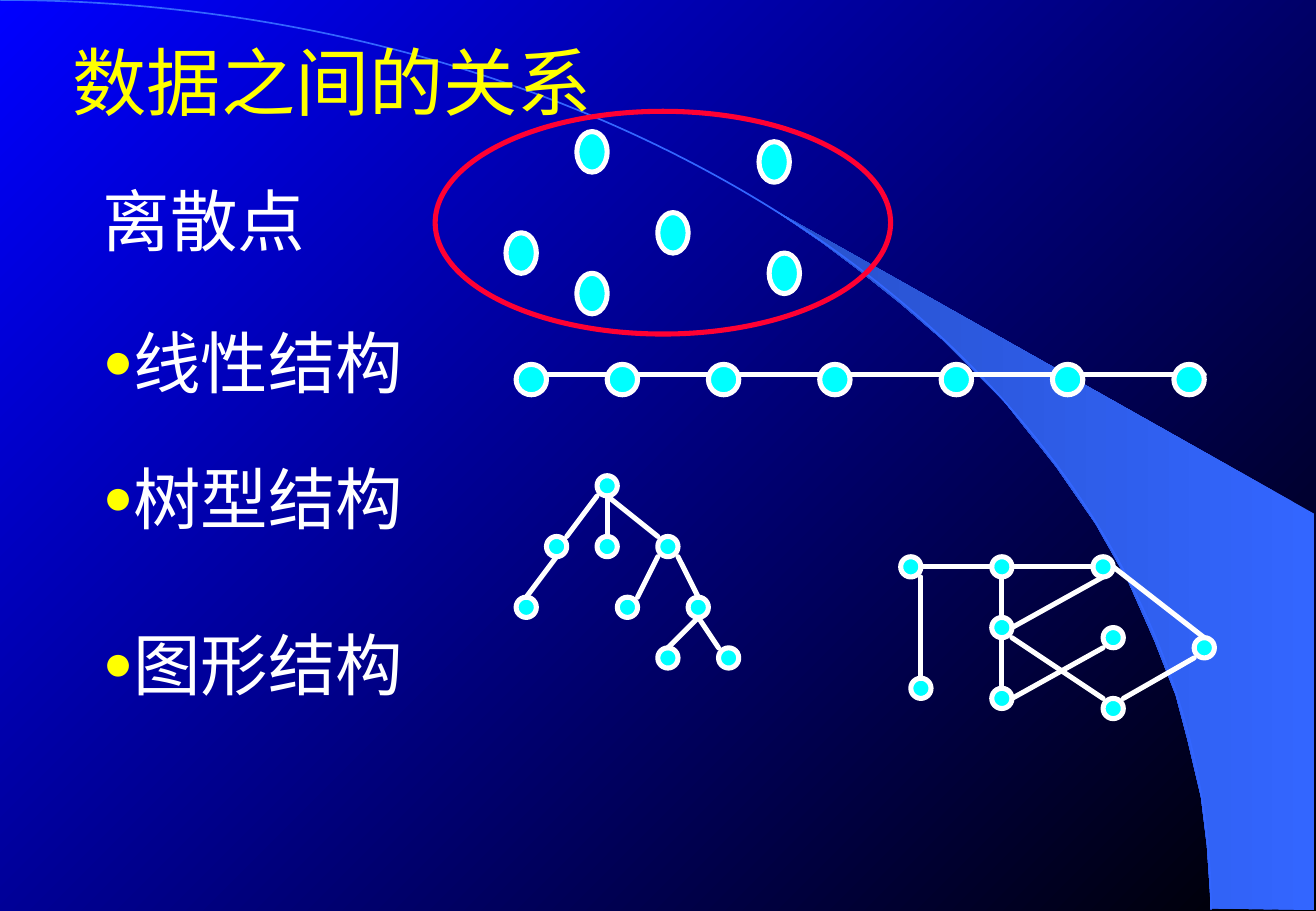
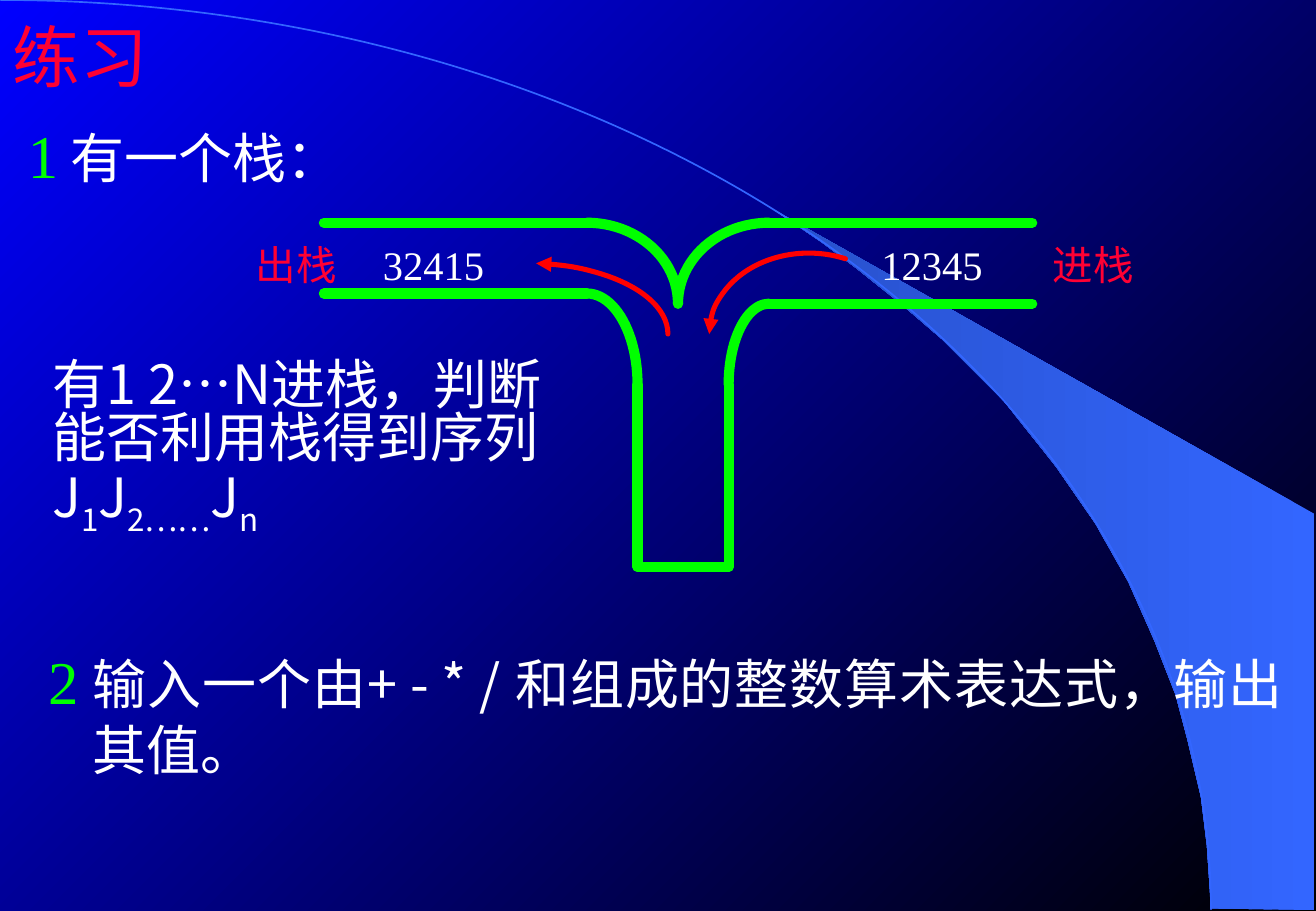
from pptx import Presentation
from pptx.dml.color import RGBColor
from pptx.enum.shapes import MSO_CONNECTOR, MSO_SHAPE as SHAPE
from pptx.enum.text import PP_ALIGN as ALIGN
from pptx.oxml.ns import qn
from pptx.oxml.xmlchemy import OxmlElement
from pptx.util import Pt

WHITE = RGBColor(0xFF, 0xFF, 0xFF)
BLACK = RGBColor(0x00, 0x00, 0x00)
BLUE = RGBColor(0x00, 0x00, 0xFF)
YELLOW = RGBColor(0xFF, 0xFF, 0x00)
CRIMSON = RGBColor(0xFF, 0x00, 0x33)
RED = RGBColor(0xFF, 0x00, 0x00)
GREEN = RGBColor(0x00, 0xFF, 0x00)
CYAN = RGBColor(0x00, 0xFF, 0xFF)
SWOOSH = RGBColor(0x33, 0x66, 0xFF)
SWOOSH_DARK = RGBColor(0x28, 0x51, 0xCB)

SANS = "Noto Sans CJK SC"
SERIF = "Times New Roman"

SWOOSH_POINTS = [
    (718, 538.5), (779, 539.5), (779, 304.5), (459, 124.5), (487, 143.5),
    (509, 160), (534, 180), (559, 201.5), (595, 237.5), (626, 276.5),
    (649.5, 310.5), (669, 345), (684.5, 380), (697, 412), (704, 438.5),
    (712, 472.5), (715.5, 501),
]

# Angles of an arc in degrees, clockwise from the right
TOP_RIGHT = (270, 0)
TOP_LEFT = (180, 270)

# Places on a node's frame, as shares of its size
SIDES = {
    "n": (0.5, 0), "s": (0.5, 1), "w": (0, 0.5), "e": (1, 0.5),
    "nw": (0, 0), "ne": (1, 0), "sw": (0, 1), "se": (1, 1),
}
NODE = 12

TREE_NODES = {
    "root": (354, 282), "left": (324, 318), "middle": (354, 318),
    "right": (390, 318), "left leaf": (306, 354), "right leaf": (366, 354),
    "branch": (408, 354), "branch left": (390, 384),
    "branch right": (426, 384),
}
TREE_EDGES = [
    ("root", "sw", "left", "ne"), ("root", "s", "middle", "n"),
    ("root", "s", "right", "nw"), ("right", "sw", "right leaf", "ne"),
    ("right", "se", "branch", "n"), ("left", "s", "left leaf", "n"),
    ("branch", "s", "branch left", "n"),
    ("branch", "s", "branch right", "nw"),
]
GRAPH_NODES = {
    "A": (534, 330), "B": (588, 330), "C": (648, 330),
    "D": (588, 366), "E": (588, 408), "F": (654, 372),
    "G": (540, 402), "H": (654, 414), "I": (708, 378),
}
GRAPH_EDGES = [
    ("B", "w", "A", "e"), ("B", "s", "D", "n"), ("B", "e", "C", "w"),
    ("D", "s", "E", "n"), ("C", "s", "D", "e"), ("A", "se", "G", "n"),
    ("F", "sw", "E", "e"), ("H", "ne", "I", "sw"), ("C", "e", "I", "n"),
    ("D", "se", "H", "nw"),
]


def add_child(parent, tag, **attributes):
    child = OxmlElement(tag)
    for name, value in attributes.items():
        child.set(name, value)
    parent.append(child)
    return child


def set_gradient(fill, start, end, angle):
    fill.gradient()
    fill.gradient_angle = angle
    for stop, color in zip(fill.gradient_stops, (start, end)):
        stop.color.rgb = color


def set_line(shape, color, width):
    shape.line.width = Pt(width)
    shape.line.color.rgb = color
    outline = shape._element.spPr.find(qn("a:ln"))
    outline.set("cap", "rnd")
    return outline


# Drawing elements
def add_ellipse(slide, left, top, width, height, color=None, outline=WHITE):
    shape = slide.shapes.add_shape(
        SHAPE.OVAL, Pt(left), Pt(top), Pt(width), Pt(height))
    shape.shadow.inherit = False
    if color is None:
        shape.fill.background()
    else:
        shape.fill.solid()
        shape.fill.fore_color.rgb = color
    set_line(shape, outline, 3)


def add_line(slide, start, end, color=WHITE, width=3):
    line = slide.shapes.add_connector(
        MSO_CONNECTOR.STRAIGHT, *(Pt(value) for value in (*start, *end)))
    set_line(line, color, width)
    add_child(line._element.spPr, "a:effectLst")


def add_arc(slide, frame, angles, color, width, arrow=False):
    arc = slide.shapes.add_shape(SHAPE.ARC, *(Pt(value) for value in frame))
    arc.shadow.inherit = False
    arc.fill.background()
    for index, angle in enumerate(angles):
        arc.adjustments[index] = angle * 0.6
    outline = set_line(arc, color, width)
    if arrow:
        add_child(outline, "a:headEnd", type="triangle")


def add_network(slide, nodes, edges):
    for left, top in nodes.values():
        add_ellipse(slide, left, top, NODE, NODE, CYAN)

    def place(name, side):
        return [corner + NODE * share
                for corner, share in zip(nodes[name], SIDES[side])]

    for first, first_side, second, second_side in edges:
        add_line(slide, place(first, first_side), place(second, second_side))


# Text elements
def add_box(slide, left, top, width, height):
    box = slide.shapes.add_textbox(Pt(left), Pt(top), Pt(width), Pt(height))
    box.text_frame.word_wrap = True
    return box.text_frame


def add_run(paragraph, text, size, color, name=SANS):
    run = paragraph.add_run()
    run.text = text
    run.font.size = Pt(size)
    run.font.color.rgb = color
    run.font.name = name
    add_child(run.font._element, "a:ea", typeface=SANS)
    return run


def set_spacing(paragraph, size):
    paragraph.line_spacing = Pt(size * 1.2)


def add_text(slide, frame, text, size, color, name=SANS):
    paragraph = add_box(slide, *frame).paragraphs[0]
    set_spacing(paragraph, size)
    add_run(paragraph, text, size, color, name)
    return paragraph


def set_indent(paragraph, margin, hanging):
    properties = paragraph._p.get_or_add_pPr()
    properties.set("marL", str(Pt(margin)))
    properties.set("indent", str(-Pt(hanging)))
    return properties


def add_bullet(paragraph):
    properties = set_indent(paragraph, 18, 18)
    color = add_child(properties, "a:buClr")
    add_child(color, "a:srgbClr", val=str(YELLOW))
    add_child(properties, "a:buSzPct", val="75000")
    add_child(properties, "a:buFont", typeface=SERIF)
    add_child(properties, "a:buChar", char="●")


def add_exercise(slide, frame, number, text):
    paragraph = add_box(slide, *frame).paragraphs[0]
    paragraph.alignment = ALIGN.JUSTIFY
    set_spacing(paragraph, 32)
    set_indent(paragraph, 36, 26.5)
    add_run(paragraph, number, 36, GREEN, SERIF)
    add_run(paragraph, " ", 32, GREEN)
    add_run(paragraph, text, 32, WHITE)


# Shared backdrop
def add_slide(presentation):
    slide = presentation.slides.add_slide(presentation.slide_layouts[6])
    points = [(Pt(x), Pt(y)) for x, y in SWOOSH_POINTS]
    builder = slide.shapes.build_freeform(*points[0])
    builder.add_line_segments(points[1:], close=True)
    swoosh = builder.convert_to_shape()
    swoosh.shadow.inherit = False
    set_gradient(swoosh.fill, SWOOSH, SWOOSH_DARK, 180)
    swoosh.line.fill.background()
    add_arc(slide, (-717, 0, 1435, 1078), TOP_RIGHT, SWOOSH, 1)
    return slide


def build_relations(presentation):
    slide = add_slide(presentation)
    add_text(slide, (36, 18, 528, 69), "数据之间的关系", 44, YELLOW)

    # List of structures
    frame = add_box(slide, 54, 102.5, 216, 392)
    structures = [("离散点", 0), ("线性结构", 36), ("树型结构", 33),
                  ("图形结构", 50.5)]
    for index, (text, gap) in enumerate(structures):
        paragraph = frame.add_paragraph() if index else frame.paragraphs[0]
        set_spacing(paragraph, 40)
        if index:
            paragraph.space_before = Pt(gap)
            add_bullet(paragraph)
        add_run(paragraph, text, 40, WHITE, SERIF)

    # Scattered points
    for left, top in [(300, 138), (342, 78), (390, 126), (456, 150),
                      (450, 84), (342, 162)]:
        add_ellipse(slide, left, top, 18, 24, CYAN)
    add_ellipse(slide, 258, 66, 270, 132, outline=CRIMSON)

    # Linear chain
    add_line(slide, (324, 222), (714, 222))
    for left in (306, 360, 420, 486, 558, 624, 696):
        add_ellipse(slide, left, 216, 18, 18, CYAN)

    # Tree and graph
    add_network(slide, TREE_NODES, TREE_EDGES)
    add_network(slide, GRAPH_NODES, GRAPH_EDGES)


def build_exercises(presentation):
    slide = add_slide(presentation)
    add_text(slide, (0.5, 5.5, 120, 57), "练习", 40, CRIMSON)
    add_exercise(slide, (0, 71, 264, 50), "1", "有一个栈：")

    # Stack walls
    for start, end in [
        ((192, 132), (348, 132)), ((192, 174), (348, 174)),
        ((456, 132), (612, 132)), ((456, 180), (612, 180)),
        ((378, 228), (378, 336)), ((432, 228), (432, 336)),
        ((378, 336), (432, 336)),
    ]:
        add_line(slide, start, end, GREEN, 6)
    for frame, angles in [
        ((318, 174, 60, 108), TOP_RIGHT), ((432, 180, 48, 96), TOP_LEFT),
        ((294, 132, 108, 96), TOP_RIGHT), ((402, 132, 108, 96), TOP_LEFT),
    ]:
        add_arc(slide, frame, angles, GREEN, 6)

    # Directions in and out
    add_arc(slide, (420.5, 150, 118, 96), (180, 296), RED, 3, arrow=True)
    add_arc(slide, (228, 156, 168, 84), (278, 0), RED, 3, arrow=True)
    for left, text in [(144.5, "出栈"), (617, "进栈")]:
        add_text(slide, (left, 138.5, 76, 36), text, 24, CRIMSON)
    for left, text in [(220, "32415"), (515.5, "12345")]:
        add_text(slide, (left, 138.5, 80, 36), text, 24, WHITE, SERIF)

    # Question about the sequence
    question = add_text(slide, (24, 210.5, 306, 128),
                        "有1 2…N进栈，判断能否利用栈得到序列", 32, WHITE)
    question.line_spacing = 0.83
    for base, subscript in [("J", "1"), ("J", "2……"), ("J", "n")]:
        add_run(question, base, 32, WHITE)
        run = add_run(question, subscript, 32, WHITE)
        run.font._element.set("baseline", "-25000")

    add_exercise(slide, (12, 383, 756, 89), "2",
                 "输入一个由+ - * / 和组成的整数算术表达式，输出其值。")


def main():
    presentation = Presentation()
    presentation.slide_width = Pt(780.25)
    presentation.slide_height = Pt(540)
    set_gradient(presentation.slide_master.background.fill, BLACK, BLUE, 135)
    build_relations(presentation)
    build_exercises(presentation)
    presentation.save("out.pptx")


if __name__ == "__main__":
    main()
